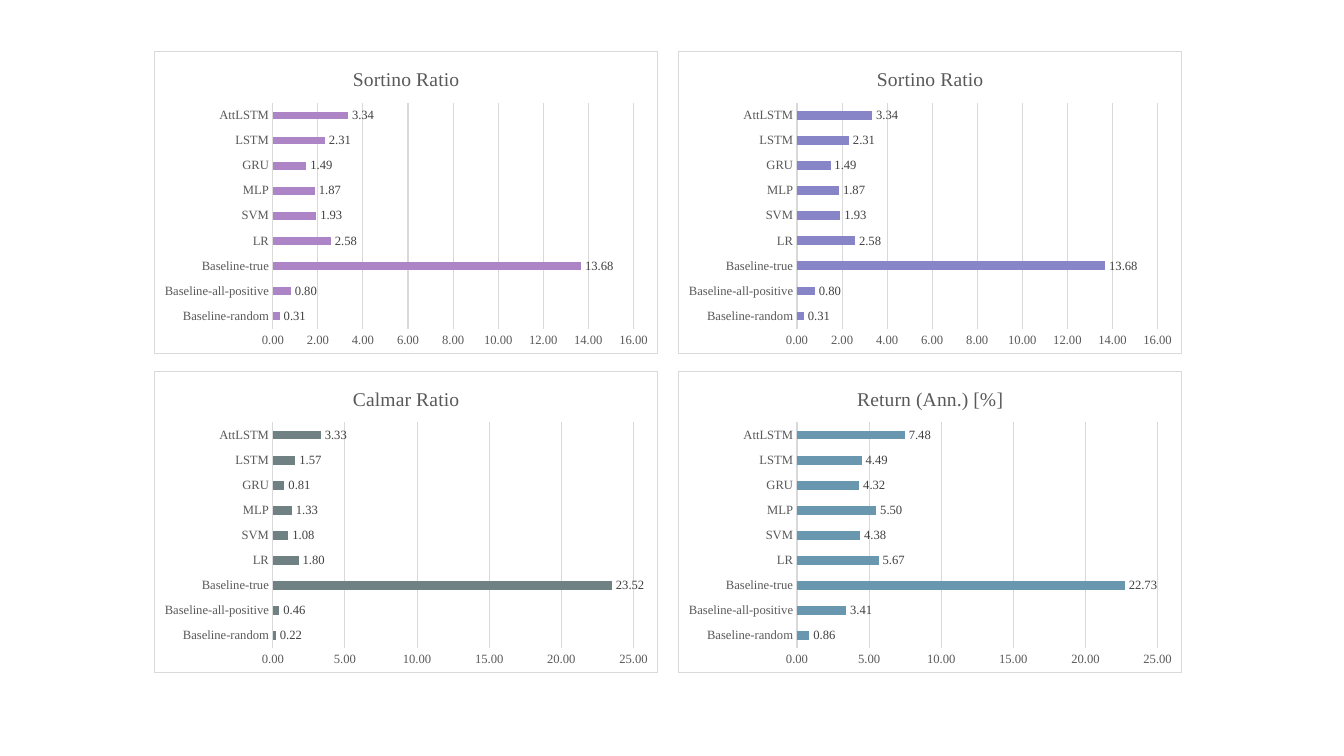
from lxml.etree import SubElement
from pptx import Presentation
from pptx.chart.data import CategoryChartData
from pptx.dml.color import RGBColor
from pptx.enum.chart import XL_CHART_TYPE, XL_LABEL_POSITION, XL_TICK_MARK
from pptx.oxml.ns import qn
from pptx.util import Pt

FACE = "Times New Roman"
GRAY = "595959"
RULE = "D9D9D9"
FORM = "#,##0.00"
MODELS = ["Baseline-random", "Baseline-all-positive", "Baseline-true",
          "LR", "SVM", "MLP", "GRU", "LSTM", "AttLSTM"]
SORTINO = [0.31, 0.80, 13.68, 2.58, 1.93, 1.87, 1.49, 2.31, 3.34]
CALMAR = [0.22, 0.46, 23.52, 1.80, 1.08, 1.33, 0.81, 1.57, 3.33]
RETURN = [0.86, 3.41, 22.73, 5.67, 4.38, 5.50, 4.32, 4.49, 7.48]
PANELS = [
    ("Sortino Ratio", SORTINO, "AD84C6", 219, 16, 2),
    ("Sortino Ratio", SORTINO, "8784C7", 182, 16, 2),
    ("Calmar Ratio", CALMAR, "6F8183", 182, 25, 5),
    ("Return (Ann.) [%]", RETURN, "6997AF", 182, 25, 5),
]
LEFT, TOP, WIDE, HIGH = 110.16, 36.72, 360, 216
STEP_X, STEP_Y = 374.4, 228.24


def color(code):
    return RGBColor.from_string(code)


def set_font(font, size, code):
    font.name = FACE
    font.size = Pt(size)
    font.bold = False
    font.color.rgb = color(code)


def set_line(line, code):
    line.width = Pt(0.75)
    line.color.rgb = color(code)


def add_frame(chart):
    space = chart._chartSpace
    props = SubElement(space, qn("c:spPr"))
    fill = SubElement(props, qn("a:solidFill"))
    SubElement(fill, qn("a:srgbClr"), val="FFFFFF")
    line = SubElement(props, qn("a:ln"), w=str(Pt(0.75)))
    fill = SubElement(line, qn("a:solidFill"))
    SubElement(fill, qn("a:srgbClr"), val=RULE)
    space.find(qn("c:chart")).addnext(props)


def set_title(chart, title):
    chart.has_title = True
    run = chart.chart_title.text_frame.paragraphs[0].add_run()
    run.text = title
    set_font(run.font, 14, GRAY)


def set_axes(chart, top, unit):
    for axis in (chart.category_axis, chart.value_axis):
        axis.major_tick_mark = XL_TICK_MARK.NONE
        axis.minor_tick_mark = XL_TICK_MARK.NONE
        set_font(axis.tick_labels.font, 9, GRAY)
    set_line(chart.category_axis.format.line, RULE)
    axis = chart.value_axis
    axis.minimum_scale = 0
    axis.maximum_scale = top
    axis.major_unit = unit
    axis.format.line.fill.background()
    axis.has_major_gridlines = True
    set_line(axis.major_gridlines.format.line, RULE)
    axis.tick_labels.number_format = FORM
    axis.tick_labels.number_format_is_linked = False


def set_bars(chart, code, gap):
    plot = chart.plots[0]
    plot.gap_width = gap
    plot.vary_by_categories = False
    bars = plot.series[0]
    bars.format.fill.solid()
    bars.format.fill.fore_color.rgb = color(code)
    labels = bars.data_labels
    labels.show_value = True
    labels.position = XL_LABEL_POSITION.OUTSIDE_END
    labels.number_format = FORM
    labels.number_format_is_linked = False
    set_font(labels.font, 9, "404040")


def add_panel(slide, left, top, title, values, code, gap, limit, unit):
    data = CategoryChartData(number_format=FORM)
    data.categories = MODELS
    data.add_series(title, values)
    chart = slide.shapes.add_chart(
        XL_CHART_TYPE.BAR_CLUSTERED,
        Pt(left), Pt(top), Pt(WIDE), Pt(HIGH), data).chart
    chart.has_legend = False
    set_font(chart.font, 10, "000000")
    add_frame(chart)
    set_title(chart, title)
    set_axes(chart, limit, unit)
    set_bars(chart, code, gap)


def main():
    deck = Presentation()
    deck.slide_width = Pt(960)
    deck.slide_height = Pt(540)
    slide = deck.slides.add_slide(deck.slide_layouts[6])
    for index, panel in enumerate(PANELS):
        row, col = divmod(index, 2)
        add_panel(slide, LEFT + col * STEP_X, TOP + row * STEP_Y, *panel)
    deck.save("out.pptx")


if __name__ == "__main__":
    main()
